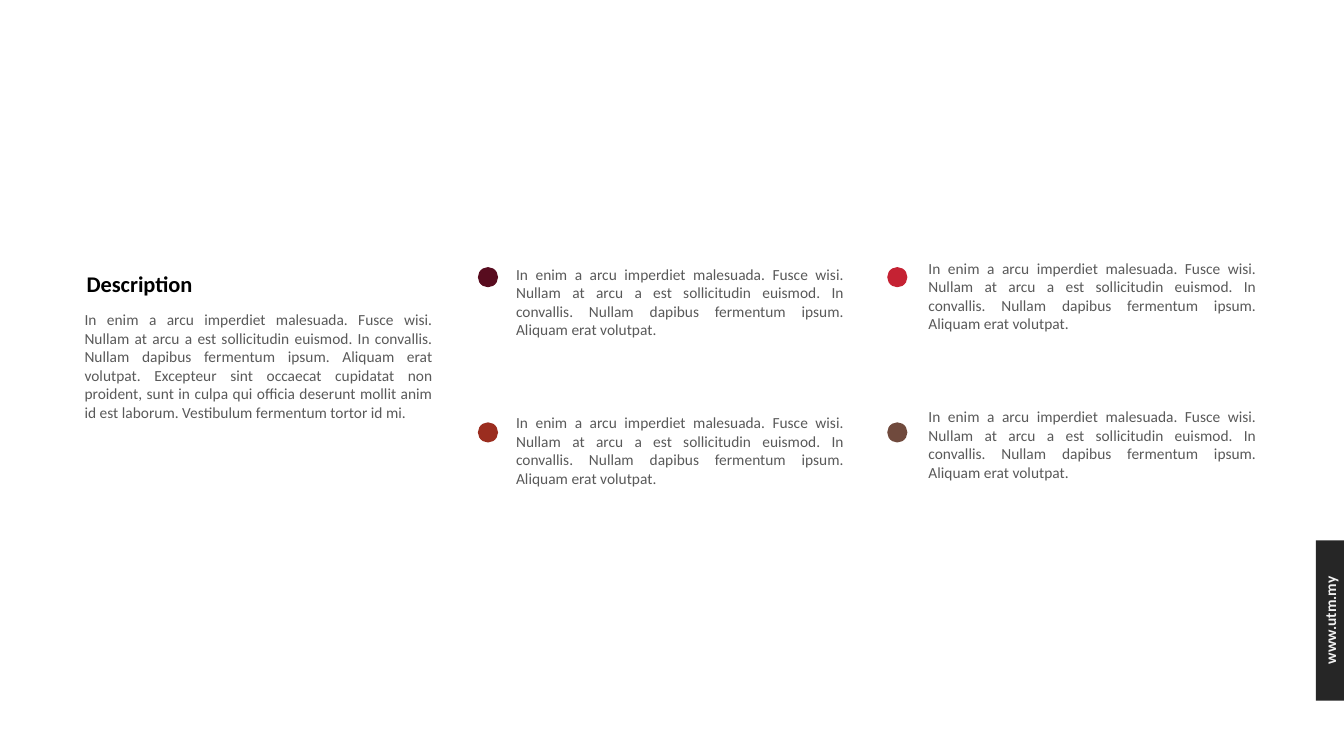
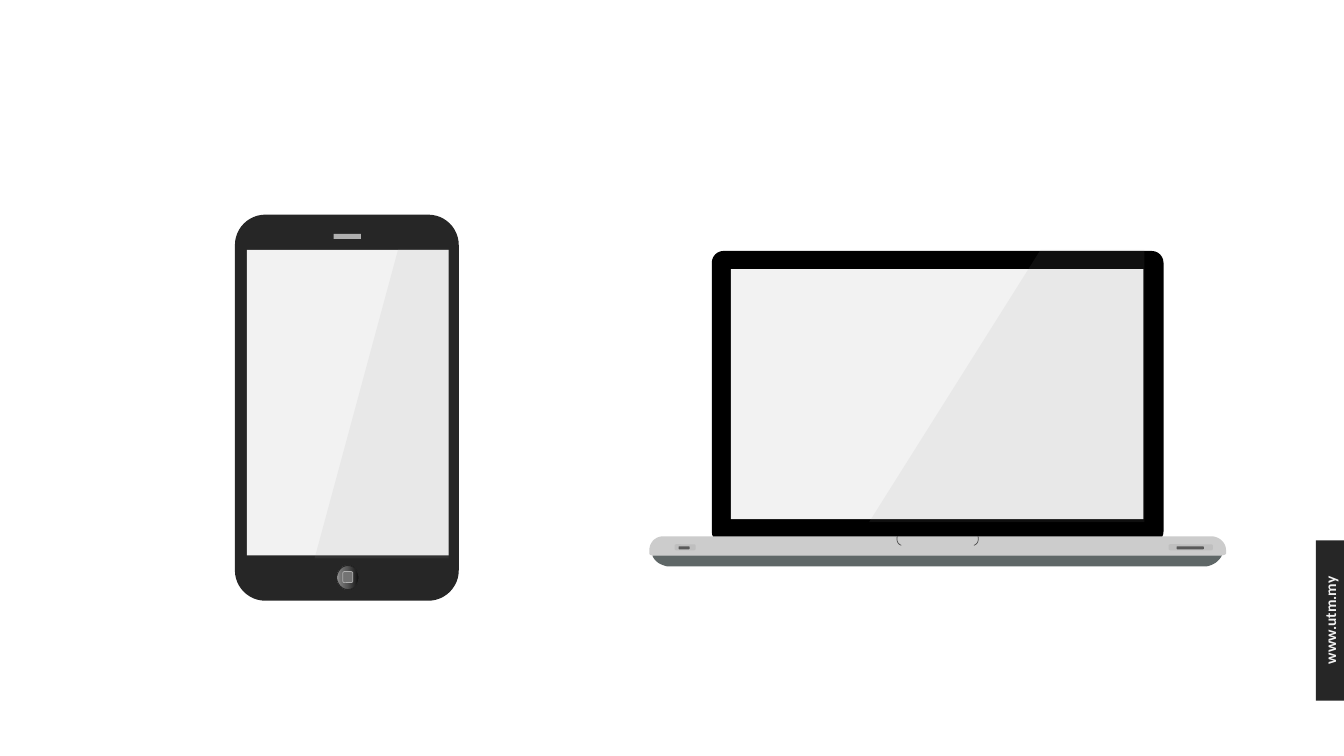
from dataclasses import dataclass
from typing import Optional

from lxml import etree
from pptx import Presentation
from pptx.dml.color import RGBColor
from pptx.enum.shapes import MSO_SHAPE
from pptx.enum.text import MSO_AUTO_SIZE, PP_ALIGN
from pptx.oxml.ns import qn
from pptx.shapes.autoshape import Shape
from pptx.slide import Slide
from pptx.util import Inches, Pt

RECT = MSO_SHAPE.RECTANGLE
ROUND = MSO_SHAPE.ROUNDED_RECTANGLE
OVAL = MSO_SHAPE.OVAL
LEFT, CENTER, JUSTIFY = PP_ALIGN.LEFT, PP_ALIGN.CENTER, PP_ALIGN.JUSTIFY
GROW = MSO_AUTO_SIZE.SHAPE_TO_FIT_TEXT

FONT = "Calibri"
BLANK = 6
COLORS = {
    "dark": "262626", "black": "000000", "text": "595959", "label": "F2F2F2",
    "screen": "F2F2F2", "glare": "999999", "base": "CCCCCC", "under": "5F6767",
    "notch": "4D4D4D", "port": "BFBFBF", "slot": "595959", "pale": "B0B0B0",
    "button": "737373", "plum": "580C1F", "rust": "9B2D1F", "red": "C52233",
    "brown": "704A3D",
}
GRADIENT = ((0, "0F0F0F"), (56, "595959"), (91, "808080"), (100, "BFBFBF"))

SHORT = ("In enim a arcu imperdiet malesuada. Fusce wisi. Nullam at arcu a est "
         "sollicitudin euismod. In convallis. Nullam dapibus fermentum ipsum. "
         "Aliquam erat volutpat.")
LONG = SHORT + (" Excepteur sint occaecat cupidatat non proident, sunt in culpa "
                "qui officia deserunt mollit anim id est laborum. Vestibulum "
                "fermentum tortor id mi.")

Box = tuple[float, float, float, float]
# Two numbers make a line to a point, six make a Bezier curve
Step = tuple[float, ...]


@dataclass(frozen=True)
class Part:
    box: Box
    color: str
    kind: MSO_SHAPE = RECT
    adj: Optional[float] = None


@dataclass(frozen=True)
class Style:
    color: str = "text"
    size: float = 11
    bold: bool = False
    align: PP_ALIGN = JUSTIFY
    space: float = 1.0


BODY = Style()
HEAD = Style("black", 16, True, LEFT, 1.5)
LABEL = Style("label", 11, True, CENTER)

PHONE = (
    Part((2.33, 2.13, 2.22, 3.83), "dark", ROUND, 0.136),
    Part((3.31, 2.32, 0.27, 0.05), "pale"),
    Part((2.45, 2.48, 2.0, 3.03), "screen"),
)
LID = (
    Part((7.06, 2.49, 4.48, 2.9), "black", ROUND, 0.04),
    Part((7.25, 2.67, 4.09, 2.48), "screen"),
)
PORTS = (
    Part((6.69, 5.4, 0.21, 0.06), "port", ROUND, 0.28),
    Part((6.73, 5.42, 0.11, 0.03), "slot", ROUND, 0.28),
    Part((11.59, 5.4, 0.44, 0.06), "port", ROUND, 0.28),
    Part((11.67, 5.42, 0.27, 0.03), "slot", ROUND, 0.28),
)
UNDER = [(11.96, 5.62), (11.96, 5.62, 12.07, 5.61, 12.12, 5.51),
         (6.47, 5.51), (6.5, 5.59, 6.58, 5.61, 6.62, 5.62)]
BASE = [(6.58, 5.32), (12.01, 5.32), (12.09, 5.32, 12.16, 5.38, 12.16, 5.46),
        (12.16, 5.49), (12.16, 5.49, 12.16, 5.51, 12.1, 5.51),
        (6.48, 5.51), (6.47, 5.51, 6.44, 5.51, 6.44, 5.49),
        (6.44, 5.46), (6.44, 5.38, 6.5, 5.32, 6.58, 5.32)]
NOTCHES = ([(8.9, 5.32), (8.9, 5.32, 8.88, 5.39, 8.94, 5.41)],
           [(9.7, 5.32), (9.7, 5.32, 9.72, 5.39, 9.66, 5.41)])
GLARES = ([(3.95, 2.47), (4.45, 2.47), (4.45, 5.54), (3.12, 5.54)],
          [(10.32, 2.48), (11.35, 2.48), (11.35, 5.18), (8.62, 5.18)])


def rgb(name: str) -> RGBColor:
    return RGBColor.from_string(COLORS[name])


def paint(shape: Shape, color: str) -> Shape:
    shape.shadow.inherit = False
    shape.fill.solid()
    shape.fill.fore_color.rgb = rgb(color)
    shape.line.fill.background()
    return shape


def edge(shape: Shape, color: str, width: float) -> None:
    shape.line.color.rgb = rgb(color)
    shape.line.width = Pt(width)


def draw(slide: Slide, part: Part) -> Shape:
    shape = slide.shapes.add_shape(part.kind, *map(Inches, part.box))
    if part.adj is not None:
        shape.adjustments[0] = part.adj
    return paint(shape, part.color)


def write(slide: Slide, box: Box, text: str, style: Style = BODY) -> Shape:
    shape = slide.shapes.add_textbox(*map(Inches, box))
    frame = shape.text_frame
    frame.word_wrap = True
    frame.auto_size = GROW
    para = frame.paragraphs[0]
    para.alignment = style.align
    para.line_spacing = style.space
    run = para.add_run()
    run.text = text
    run.font.name = FONT
    run.font.size = Pt(style.size)
    run.font.bold = style.bold
    run.font.color.rgb = rgb(style.color)
    return shape


def trace(steps: list[Step], count: int = 12) -> list[Step]:
    """Turn lines and curves into a list of points."""
    points: list[Step] = []
    for step in steps:
        if len(step) == 2:
            points.append(step)
            continue
        knots = (points[-1], step[:2], step[2:4], step[4:])
        for i in range(1, count + 1):
            t = i / count
            u = 1 - t
            rates = (u ** 3, 3 * u * u * t, 3 * u * t * t, t ** 3)
            points.append(tuple(sum(r * k[axis] for r, k in zip(rates, knots))
                                for axis in (0, 1)))
    return points


def outline(slide: Slide, steps: list[Step], color: str,
            close: bool = True) -> Shape:
    first, *rest = [(Inches(x), Inches(y)) for x, y in trace(steps)]
    pen = slide.shapes.build_freeform(*first)
    pen.add_line_segments(rest, close=close)
    return paint(pen.convert_to_shape(), color)


def glare(slide: Slide, steps: list[Step]) -> None:
    shape = outline(slide, steps, "glare")
    tint = shape.fill._xPr.find(qn("a:solidFill")).find(qn("a:srgbClr"))
    etree.SubElement(tint, qn("a:alpha"), val="10000")


def shade(shape: Shape) -> None:
    shape.fill.gradient()
    shape.fill.gradient_angle = 180
    stops = shape.fill._xPr.find(qn("a:gradFill")).find(qn("a:gsLst"))
    for old in list(stops):
        stops.remove(old)
    for place, color in GRADIENT:
        stop = etree.SubElement(stops, qn("a:gs"), pos=str(place * 1000))
        etree.SubElement(stop, qn("a:srgbClr"), val=color)


def start(deck) -> Slide:
    """Add a slide with the side tab that all slides share."""
    slide = deck.slides.add_slide(deck.slide_layouts[BLANK])
    draw(slide, Part((13.05, 5.36, 0.29, 1.59), "dark"))
    label = write(slide, (12.44, 6.01, 1.51, 0.29), "www.utm.my", LABEL)
    label.rotation = 270
    return slide


def points_slide(deck) -> None:
    slide = start(deck)
    write(slide, (0.76, 2.5, 4.69, 0.47), "Description", HEAD)
    write(slide, (0.74, 3.03, 3.65, 1.21), LONG)

    # Grid of dots and texts, column by column
    columns = ((4.74, 5.02, 2.58, ("plum", "rust")),
               (8.8, 9.11, 2.52, ("red", "brown")))
    for dot, left, top, colors in columns:
        for row, color in enumerate(colors):
            draw(slide, Part((dot, 2.65 + row * 1.54, 0.2, 0.2), color, OVAL))
            write(slide, (left, top + row * 1.47, 3.45, 0.84), SHORT)


def device_slide(deck) -> None:
    slide = start(deck)

    # Laptop
    outline(slide, UNDER, "under")
    for part in LID:
        draw(slide, part)
    outline(slide, BASE, "base")
    for notch in NOTCHES:
        curve = outline(slide, notch, "notch", close=False)
        curve.fill.background()
        edge(curve, "notch", 0.5)
    for part in PORTS:
        draw(slide, part)

    # Phone
    for part in PHONE:
        draw(slide, part)
    knob = draw(slide, Part((3.34, 5.61, 0.22, 0.24), "dark", OVAL))
    shade(knob)
    edge(knob, "dark", 0)
    icon = draw(slide, Part((3.4, 5.67, 0.1, 0.11), "button", ROUND))
    edge(icon, "pale", 0.5)

    # Light on both screens
    for steps in GLARES:
        glare(slide, steps)


def main() -> None:
    deck = Presentation()
    deck.slide_width = Inches(13.33)
    deck.slide_height = Inches(7.5)
    points_slide(deck)
    device_slide(deck)
    deck.save("out.pptx")


if __name__ == "__main__":
    main()
